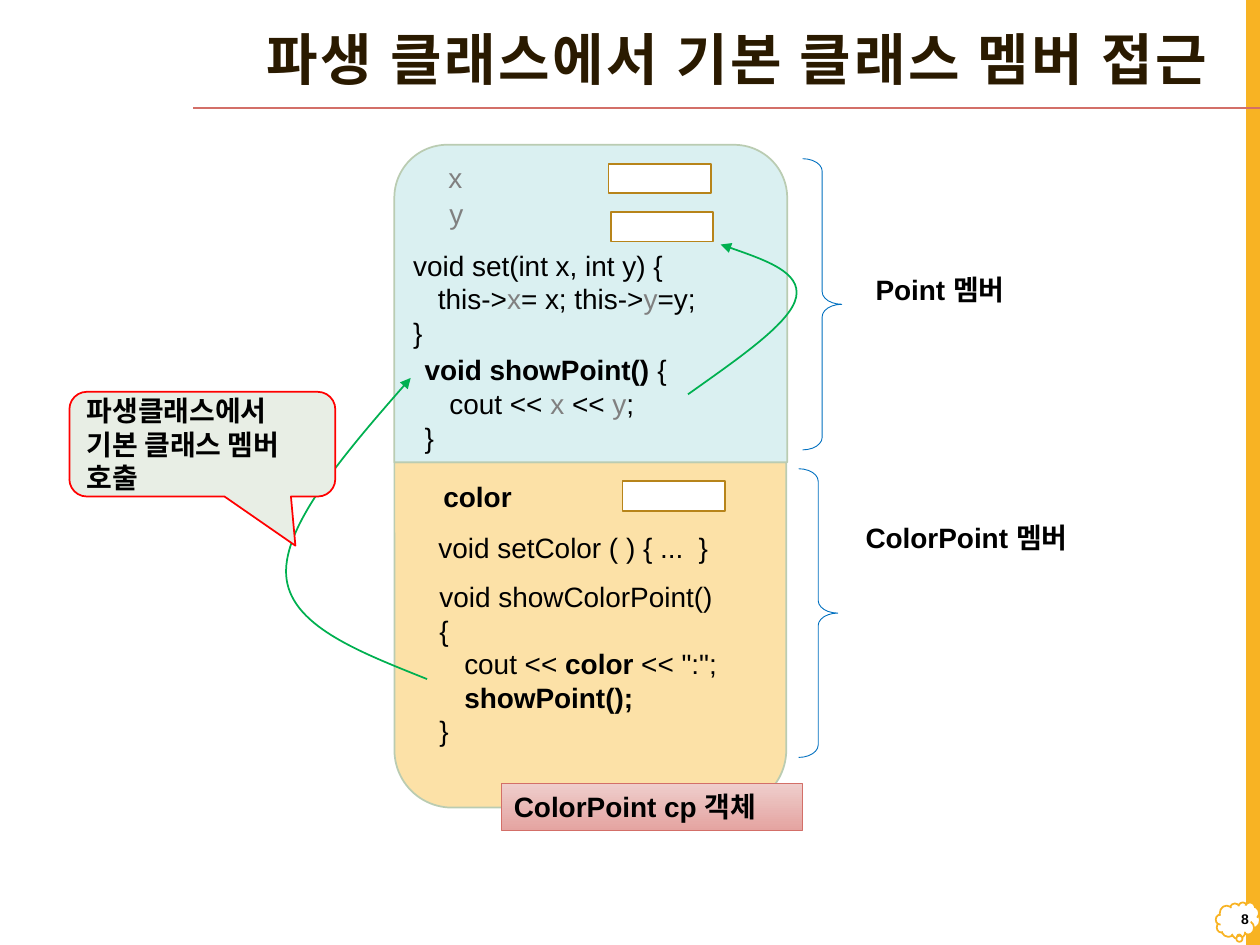
import pptx
import pptx.util
import pptx.dml.color
import pptx.enum.shapes
import pptx.enum.text
import pptx.oxml
import pptx.oxml.ns
from lxml import etree

Cm = pptx.util.Cm
Pt = pptx.util.Pt
SHAPE = pptx.enum.shapes.MSO_SHAPE
ALIGN = pptx.enum.text.PP_ALIGN
ANCHOR = pptx.enum.text.MSO_ANCHOR

TITLE = "파생 클래스에서 기본 클래스 멤버 접근"
PAGE_NUMBER = "8"
BLACK, GREY, GREEN, AMBER = "000000", "808080", "00B050", "F8B323"
CODE_TAB = 0.5

BODIES = [
    ((7.95, 9.32, 7.9, 6.96), 180, "FCE1A7"),
    ((7.95, 2.92, 7.92, 6.4), 0, "DAF0F1"),
]
SLOTS = [(12.27, 3.3), (12.32, 4.27), (12.55, 9.7)]
SLOT_SIZE = (2.06, 0.6)
BRACES = [(16.18, 3.2, 0.79, 5.87), (16.1, 9.45, 0.79, 5.82)]
OBJECT_LABEL = ((10.11, 15.8, 6.07, 0.94), "ColorPoint cp 객체")
CALLOUT = ((1.4, 7.9, 5.36, 2.11), "파생클래스에서 기본 클래스 멤버 호출")

MEMBERS = [
    ((8.79, 3.12, 1.93, 0.94), [[("x", "grey")]]),
    ((8.81, 3.84, 1.9, 0.94), [[("y", "grey")]]),
    ((8.08, 4.88, 7.95, 2.31), [
        [("void set(int x, int y) {", "")],
        [("\tthis->", ""), ("x", "grey"), ("= x; this->", ""), ("y", "grey"), ("=y;", "")],
        [("}", "")],
    ]),
    ((8.31, 6.99, 7.65, 2.31), [
        [("void showPoint() ", "bold"), ("{", "")],
        [("\tcout << ", ""), ("x", "grey"), (" << ", ""), ("y", "grey"), (";", "")],
        [("}", "")],
    ]),
    ((8.69, 9.55, 3.38, 0.94), [[("color", "bold")]]),
    ((8.59, 10.57, 6.3, 0.94), [[("void setColor ( ) { ...  }", "")]]),
    ((8.61, 11.56, 6.3, 4.37), [
        [("void showColorPoint() {", "")],
        [("\tcout << ", ""), ("color", "bold"), (' << ":";', "")],
        [("\t", ""), ("showPoint();", "bold")],
        [("}", "")],
    ]),
]
SIDE_LABELS = [
    ((17.4, 5.36, 3.25, 0.94), "Point 멤버"),
    ((17.2, 10.36, 4.7, 0.94), "ColorPoint 멤버"),
]
CALL_ARROW = [(8.61, 13.69), (7.21, 13.13), (5.82, 12.6), (5.77, 11.58),
              (5.72, 10.59), (6.99, 9.09), (8.28, 7.62)]
ACCESS_ARROW = [(13.87, 7.95), (14.91, 7.21), (15.95, 6.5), (16.05, 5.99),
                (16.15, 5.49), (15.34, 5.21), (14.53, 4.93)]


def colour(hex_value):
    return pptx.dml.color.RGBColor.from_string(hex_value)


def tag(name):
    return pptx.oxml.ns.qn("a:" + name)


def style_line(line, hex_value, width):
    line.color.rgb = colour(hex_value)
    line.width = Pt(width)


def add_block(page, kind, place, fill=None, line=None, width=1):
    block = page.shapes.add_shape(kind, *map(Cm, place))
    block.shadow.inherit = False
    if fill:
        block.fill.solid()
        block.fill.fore_color.rgb = colour(fill)
    else:
        block.fill.background()
    if line:
        style_line(block.line, line, width)
    else:
        block.line.fill.background()
    return block


def write(box, lines, size=16, align=ALIGN.LEFT, anchor=ANCHOR.TOP, wrap=True):
    frame = box.text_frame
    frame.word_wrap = wrap
    frame.vertical_anchor = anchor
    for index, runs in enumerate(lines):
        para = frame.add_paragraph() if index else frame.paragraphs[0]
        para.alignment = align
        if runs[0][0].startswith("\t"):
            tabs = etree.SubElement(para._p.get_or_add_pPr(), tag("tabLst"))
            etree.SubElement(tabs, tag("tab"), pos=str(Cm(CODE_TAB)), algn="l")
        para.font.name = "Arial"
        para.font.size = Pt(size)
        for text, style in runs:
            span = para.add_run()
            span.text = text
            span.font.bold = style == "bold"
            span.font.color.rgb = colour(GREY if style == "grey" else BLACK)


def add_text(page, place, lines, **options):
    write(page.shapes.add_textbox(*map(Cm, place)), lines, **options)


def add_curved_arrow(page, points):
    start, *rest = [(Cm(x), Cm(y)) for x, y in points]
    builder = page.shapes.build_freeform(*start)
    builder.add_line_segments(rest, close=False)
    arrow = builder.convert_to_shape()
    arrow.shadow.inherit = False
    arrow.fill.background()
    style_line(arrow.line, GREEN, 1)
    etree.SubElement(arrow.line._get_or_add_ln(), tag("tailEnd"), type="triangle")
    outline = next(arrow._element.iter(tag("moveTo"))).getparent()
    segments = outline.findall(tag("lnTo"))
    for first in range(0, len(segments), 3):
        curve = etree.SubElement(outline, tag("cubicBezTo"))
        for segment in segments[first:first + 3]:
            curve.append(segment[0])
            outline.remove(segment)


def add_frame(page):
    add_block(page, SHAPE.RECTANGLE, (25.12, 0, 0.28, 19.05), AMBER)
    cloud = add_block(page, SHAPE.CLOUD_CALLOUT, (24.51, 18.19, 0.89, 0.74), "FFFFFF", AMBER)
    cloud.adjustments[0], cloud.adjustments[1] = 0.03, 0.43
    rule = page.shapes.add_connector(
        pptx.enum.shapes.MSO_CONNECTOR.STRAIGHT, Cm(25.4), Cm(2.18), Cm(3.89), Cm(2.18))
    style_line(rule.line, "D36F68", 1)
    etree.SubElement(rule._element.spPr, tag("effectLst"))

    title = page.shapes.title
    title.left, title.top, title.width, title.height = map(Cm, (3.35, 0.33, 21.26, 1.85))
    frame = title.text_frame
    frame.text = TITLE
    frame.auto_size = pptx.enum.text.MSO_AUTO_SIZE.NONE
    frame.vertical_anchor = ANCHOR.MIDDLE
    para = frame.paragraphs[0]
    para.alignment = ALIGN.RIGHT
    para.line_spacing = 0.9
    para.font.name = "Arial Narrow"
    para.font.size = Pt(32)
    para.font.bold = True
    para.font.color.rgb = colour("2A1A00")
    para.runs[0]._r.get_or_add_rPr().set("spc", "150")
    add_text(page, (24.54, 18.08, 0.89, 0.89), [[(PAGE_NUMBER, "bold")]],
             size=8, align=ALIGN.RIGHT, anchor=ANCHOR.MIDDLE)


def add_diagram(page):
    for place, rotation, fill in BODIES:
        body = add_block(page, SHAPE.ROUND_2_SAME_RECTANGLE, place, fill, "BACCB2")
        body.rotation = rotation

    place, text = OBJECT_LABEL
    label = add_block(page, SHAPE.RECTANGLE, place, line="D36F68", width=0.5)
    label.fill.gradient()
    label.fill.gradient_angle = 270
    for stop, shade in zip(label.fill.gradient_stops, ("EECDCB", "E4A4A1")):
        stop.color.rgb = colour(shade)
    write(label, [[(text, "bold")]])

    for place, lines in MEMBERS:
        add_text(page, place, lines)
    for corner in SLOTS:
        add_block(page, SHAPE.RECTANGLE, corner + SLOT_SIZE, "FFFFFF", "B7841A")
    add_curved_arrow(page, CALL_ARROW)
    for place in BRACES:
        brace = add_block(page, SHAPE.RIGHT_BRACE, place, line="0070C0", width=0.5)
        brace.adjustments[0] = 0.32
    for place, text in SIDE_LABELS:
        add_text(page, place, [[(text, "bold")]], wrap=False)

    place, text = CALLOUT
    callout = add_block(page, SHAPE.ROUNDED_RECTANGULAR_CALLOUT, place, "E8EEE5", "FF0000")
    callout.adjustments[0], callout.adjustments[1] = 0.35, 0.97
    write(callout, [[(text, "bold")]], anchor=ANCHOR.MIDDLE)
    add_curved_arrow(page, ACCESS_ARROW)


def main():
    deck = pptx.Presentation()
    deck.slide_width, deck.slide_height = Cm(25.4), Cm(19.05)
    page = deck.slides.add_slide(deck.slide_layouts[5])
    add_frame(page)
    add_diagram(page)
    deck.save("out.pptx")


if __name__ == "__main__":
    main()
